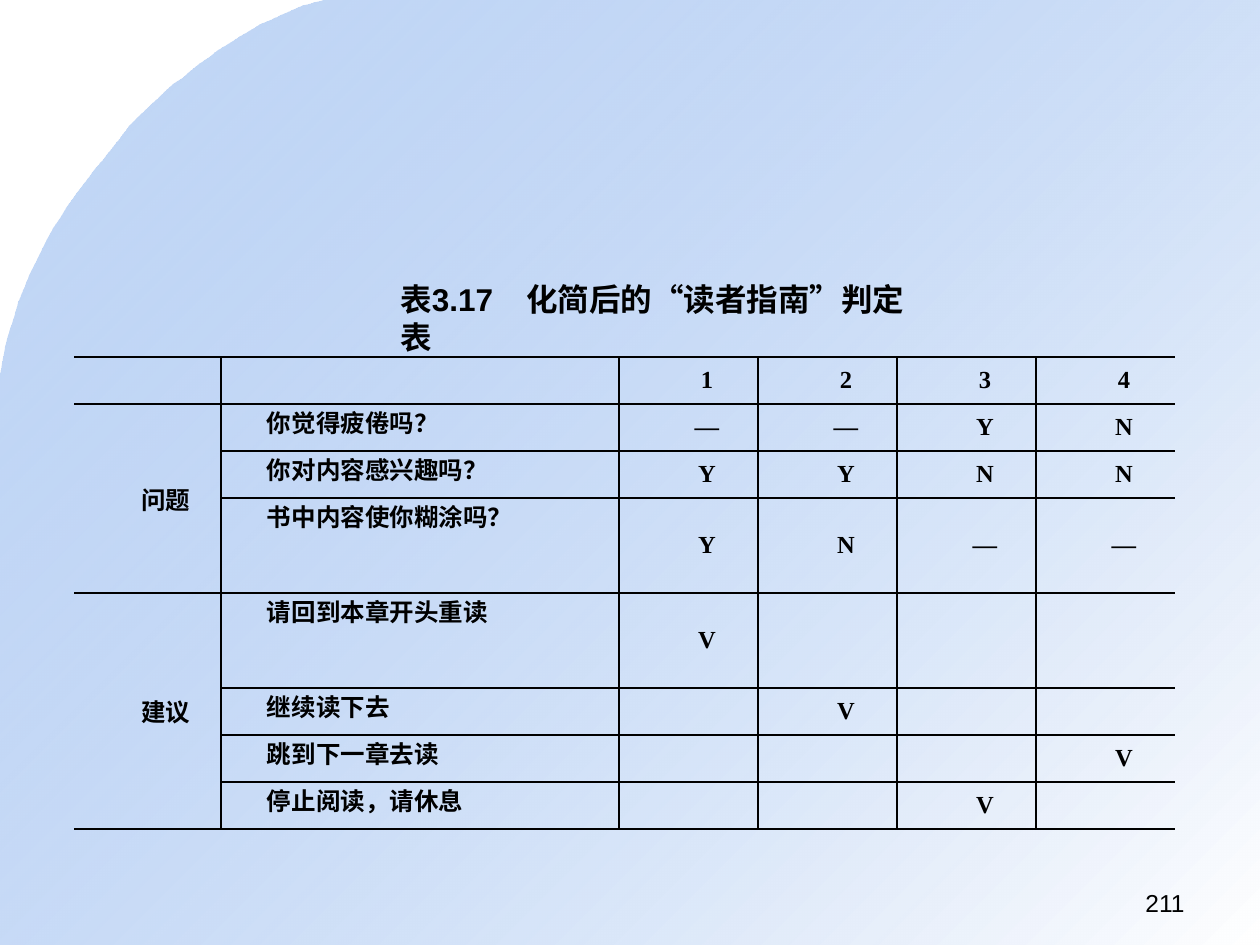
from dataclasses import dataclass
from itertools import product

from lxml import etree
from pptx import Presentation
from pptx import util as u
from pptx.dml.color import RGBColor
from pptx.enum import text as t
from pptx.oxml import ns

PX = 914400 // 126


@dataclass(frozen=True)
class Theme:
    ink: RGBColor = RGBColor(0, 0, 0)
    sky: RGBColor = RGBColor(0x69, 0x9D, 0xE9)
    white: RGBColor = RGBColor(255, 255, 255)
    sans: str = "Arial"
    serif: str = "Times New Roman"
    title: int = 18
    body: int = 14


THEME = Theme()

COLS = [147, 398] + [139] * 4
ROWS = [47, 47, 47, 95, 95, 47, 47, 47]
GRID = [
    ["", "", "1", "2", "3", "4"],
    ["问题", "你觉得疲倦吗？", "—", "—", "Y", "N"],
    ["", "你对内容感兴趣吗？", "Y", "Y", "N", "N"],
    ["", "书中内容使你糊涂吗？", "Y", "N", "—", "—"],
    ["建议", "请回到本章开头重读", "V", "", "", ""],
    ["", "继续读下去", "", "V", "", ""],
    ["", "跳到下一章去读", "", "", "", "V"],
    ["", "停止阅读，请休息", "", "", "V", ""],
]
GROUPS = [(1, 3), (4, 7)]


def emu(*vals):
    return [u.Emu(v * PX) for v in vals]


def add_run(para, words, size, face, bold=False):
    run = para.add_run()
    run.text = words
    run.font.size = u.Pt(size)
    run.font.name = face
    run.font.bold = bold
    run.font.color.rgb = THEME.ink


def curve(a, b, c, d, steps=24):
    """Points along a cubic Bezier curve, without its start."""
    for i in range(1, steps + 1):
        s = i / steps
        r = 1 - s
        yield tuple(round(r**3 * p + 3 * r * r * s * q + 3 * r * s * s * v + s**3 * w)
                    for p, q, v, w in zip(a, b, c, d))


def add_back(slide, box):
    """Tinted panel with a rounded top left corner."""
    x, y, w, h = box
    top, mid, low = (325, 0), (123, 135), (0, 379)
    arc = [*curve(top, (239, 20), (146, 105), mid),
           *curve(mid, (101, 166), (20, 244), low)]
    edge = arc + [(0, h), (w, h), (w, 0)]
    pen = slide.shapes.build_freeform(x + top[0], y + top[1], scale=PX)
    pen.add_line_segments([(x + p, y + q) for p, q in edge], close=True)
    panel = pen.convert_to_shape()
    panel.shadow.inherit = False
    panel.line.fill.background()
    panel.fill.gradient()
    panel.fill.gradient_angle = 315
    first, last = panel.fill.gradient_stops
    first.position, last.position = 0, 1
    first.color.rgb, last.color.rgb = THEME.sky, THEME.white
    tint = panel._element.spPr.find(".//" + ns.qn("a:srgbClr"))
    for old in list(tint):
        tint.remove(old)
    etree.SubElement(tint, ns.qn("a:alpha"), val="39000")


def add_text(slide, box, words, size, bold=False, align=t.PP_ALIGN.LEFT):
    frame = slide.shapes.add_textbox(*emu(*box)).text_frame
    frame.word_wrap = True
    para = frame.paragraphs[0]
    para.alignment = align
    add_run(para, words, size, THEME.sans, bold)


def rule(cell, sides):
    """Draw black one-point borders on the given sides, none on the rest."""
    props = cell._tc.get_or_add_tcPr()
    for side in "LRTB":
        line = etree.SubElement(props, ns.qn("a:ln" + side), w=str(u.Pt(1)))
        if side in sides:
            fill = etree.SubElement(line, ns.qn("a:solidFill"))
            etree.SubElement(fill, ns.qn("a:srgbClr"), val=str(THEME.ink))
        else:
            etree.SubElement(line, ns.qn("a:noFill"))


def fill_cell(cell, words, row, col):
    cell.margin_left = cell.margin_right = u.Emu(9 * PX)
    cell.margin_top = cell.margin_bottom = 0
    rule(cell, {0: "RTB", len(COLS) - 1: "LTB"}.get(col, "LRTB"))
    cell.fill.background()
    if not words:
        return
    asked = col == 1
    cell.vertical_anchor = t.MSO_ANCHOR.TOP if asked else t.MSO_ANCHOR.MIDDLE
    para = cell.text_frame.paragraphs[0]
    para.alignment = t.PP_ALIGN.JUSTIFY if asked else t.PP_ALIGN.CENTER
    para.space_before = para.space_after = u.Pt(1.4 if row else 1.2)
    para._p.get_or_add_pPr().set("indent", str(37 * PX))
    add_run(para, words, THEME.body, THEME.serif, True)


def add_rules(slide, x, y):
    """Decision table with merged group labels."""
    size = emu(x, y, sum(COLS), sum(ROWS))
    table = slide.shapes.add_table(len(ROWS), len(COLS), *size).table
    table.first_row = table.horz_banding = False
    for col, wide in zip(table.columns, emu(*COLS)):
        col.width = wide
    for row, high in zip(table.rows, emu(*ROWS)):
        row.height = high
    for r, c in product(range(len(ROWS)), range(len(COLS))):
        fill_cell(table.cell(r, c), GRID[r][c], r, c)
    for top, end in GROUPS:
        table.cell(top, 0).merge(table.cell(end, 0))


def main():
    deck = Presentation()
    deck.slide_width, deck.slide_height = emu(1260, 945)
    slide = deck.slides.add_slide(deck.slide_layouts[6])
    add_back(slide, (0, 0, 1260, 945))
    add_rules(slide, 74, 357)
    add_text(slide, (388, 274, 537, 50), "表3.17\t化简后的“读者指南”判定表",
             THEME.title, bold=True)
    add_text(slide, (903, 882, 294, 44), "211", THEME.body,
             align=t.PP_ALIGN.RIGHT)
    deck.save("out.pptx")


if __name__ == "__main__":
    main()
